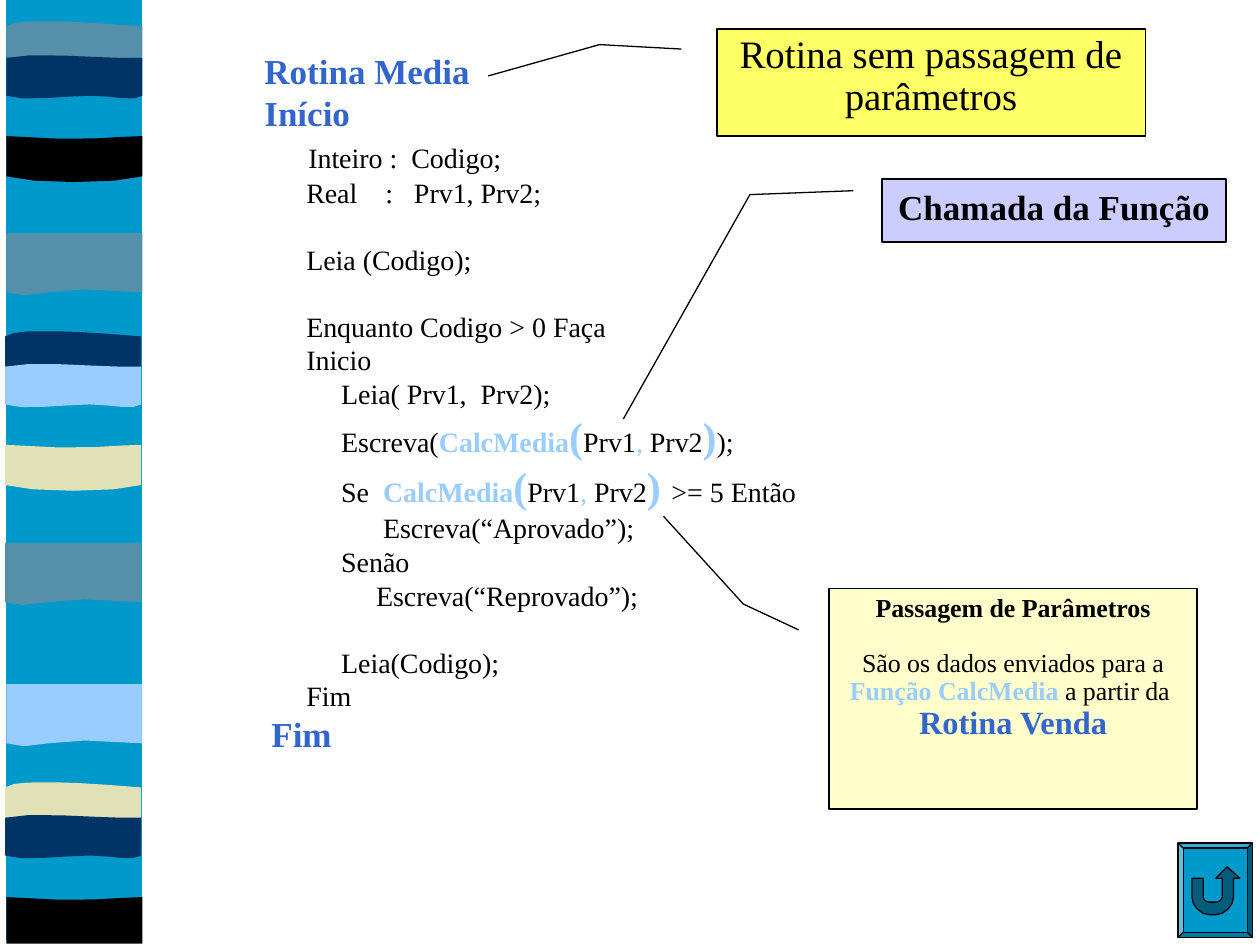
from pptx import Presentation
from pptx.dml.color import RGBColor
from pptx.enum.shapes import MSO_SHAPE
from pptx.enum.text import MSO_ANCHOR, MSO_AUTO_SIZE, PP_ALIGN
from pptx.util import Inches, Pt

COLORS = {
    "sea": "0099CC", "slate": "5490A8", "navy": "003366", "sky": "99CCFF",
    "sand": "E1E1B7", "black": "000000", "white": "FFFFFF", "blue": "3366CC",
    "arrow": "005C7A", "yellow": "FFFF66", "lilac": "CCCCFF", "cream": "FFFFCC",
}
RGB = {name: RGBColor.from_string(value) for name, value in COLORS.items()}
CURVE_PARTS = 4

deck = Presentation()
deck.slide_width, deck.slide_height = Inches(10), Inches(7.5)
page = deck.slides.add_slide(deck.slide_layouts[6])


def draw_outline(left, top, steps, color):
    """Draw a closed outline; a step is a point (x, y) or a cubic curve of six numbers."""
    points = [steps[0]]
    for step in steps[1:]:
        if len(step) == 2:
            points.append(step)
            continue
        nodes = [points[-1], step[0:2], step[2:4], step[4:6]]
        for t in (n / CURVE_PARTS for n in range(1, CURVE_PARTS + 1)):
            weights = ((1 - t) ** 3, 3 * t * (1 - t) ** 2, 3 * t * t * (1 - t), t ** 3)
            points.append(tuple(sum(w * node[axis] for w, node in zip(weights, nodes))
                                for axis in (0, 1)))
    places = [(Inches(left + x), Inches(top + y)) for x, y in points]
    builder = page.shapes.build_freeform(*places[0])
    builder.add_line_segments(places[1:], close=True)
    outline = builder.convert_to_shape()
    outline.shadow.inherit = False
    outline.fill.solid()
    outline.fill.fore_color.rgb = RGB[color]
    outline.line.fill.background()
    return outline


def write_paragraph(frame, first, spans, gap, alignment):
    """Write spans of (text, size, color, bold) as one paragraph."""
    para = frame.paragraphs[0] if first else frame.add_paragraph()
    para.alignment = alignment
    if gap:
        para.space_before = Pt(gap)
    para.font.name = "Times New Roman"
    for text, size, color, bold in spans:
        span = para.add_run()
        span.text = text
        font = para.font if len(spans) == 1 else span.font
        font.size, font.bold = Pt(size), bold
        font.color.rgb = RGB[color]
    return para


# Side strip with wavy bands
BANDS = {
    "strip": [(0, 0), (1.08, 0), (1.08, 7.47), (0, 7.47)],
    "flag": [(0, 0), (1.08, 0), (1.08, 0.47), (0.34, 0.39, 0.18, 0.55, 0, 0.47)],
    "hump": [(1.08, 0), (1.08, 0.24), (0.9, 0.28, 0.18, 0.28, 0, 0.24), (0, 0),
             (0.07, -0.05, 0.24, -0.04, 0.42, -0.04), (0.6, -0.04, 0.95, -0.01, 1.08, 0)],
    "bowl": [(1.08, 0), (1.08, 0.32), (0.9, 0.38, 0.18, 0.38, 0, 0.32), (0, 0),
             (0.67, 0.05, 0.86, 0, 1.08, 0)],
    "ripple": [(1.08, 0), (1.08, 0.3), (1.02, 0.35, 0.85, 0.3, 0.67, 0.3),
               (0.49, 0.3, 0.11, 0.35, 0, 0.3), (0, 0), (0.16, -0.05, 0.74, 0, 0.92, 0)],
    "base": [(1.08, 0), (1.08, 0.37), (0, 0.37), (0, 0), (0.67, 0.05, 0.86, 0, 1.08, 0)],
}
for kind, left, top, color in (
    ("strip", 0.05, -0.01, "sea"),
    ("flag", 0.05, 1.85, "slate"), ("hump", 0.05, 0.21, "slate"),
    ("bowl", 0.05, 1.08, "black"), ("ripple", 0.05, 0.46, "navy"),
    ("flag", 0.04, 4.31, "slate"), ("hump", 0.04, 2.67, "navy"),
    ("bowl", 0.04, 3.53, "sand"), ("ripple", 0.04, 2.91, "sky"),
    ("flag", 0.05, 5.43, "sky"), ("hump", 0.04, 6.25, "sand"),
    ("base", 0.05, 7.12, "black"), ("ripple", 0.04, 6.49, "navy"),
):
    draw_outline(left, top, BANDS[kind], color)

# Pseudocode listing: (spans or plain text, gap before)
HEADING, CODE = (20, "blue", True), (16, "black", False)
CALL, BRACKET, COMMA = (16, "sky", True), (24, "sky", True), (16, "sky", False)
LINE_GAP = 19.2
listing = (
    ([("Rotina Media", *HEADING)], 0),
    ([("Início", *HEADING)], 0),
    ([("     ", 20, "black", False), ("Inteiro :  Codigo;", *CODE)], 0),
    ("      Real    :   Prv1, Prv2;", 0),
    ("      Leia (Codigo);", LINE_GAP),
    ("      Enquanto Codigo > 0 Faça", LINE_GAP),
    ("      Inicio", 0),
    ("           Leia( Prv1,  Prv2);", 0),
    ([("           Escreva(", *CODE), ("CalcMedia", *CALL), ("(", *BRACKET),
      ("Prv1", *CODE), (",", *COMMA), (" Prv2", *CODE), (")", *BRACKET), (");", *CODE)], 0),
    ([("           Se  ", *CODE), ("CalcMedia", *CALL), ("(", *BRACKET), ("Prv1", *CODE),
      (", ", *COMMA), ("Prv2", *CODE), (") ", *BRACKET), (">= 5 Então", *CODE)], 0),
    ("                 Escreva(“Aprovado”);", 0),
    ("           Senão", 0),
    ("                Escreva(“Reprovado”);", 0),
    ("           Leia(Codigo);", LINE_GAP),
    ("      Fim", 0),
    ([(" ", *CODE), ("Fim", *HEADING)], 0),
)
code_box = page.shapes.add_shape(
    MSO_SHAPE.RECTANGLE, Inches(2), Inches(0.34), Inches(6.75), Inches(5.7))
code_box.shadow.inherit = False
code_box.fill.solid()
code_box.fill.fore_color.rgb = RGB["white"]
code_box.line.fill.background()
code_frame = code_box.text_frame
code_frame.word_wrap = True
code_frame.auto_size = MSO_AUTO_SIZE.SHAPE_TO_FIT_TEXT
code_frame.vertical_anchor = MSO_ANCHOR.TOP
for row, (content, gap) in enumerate(listing):
    spans = [(content, *CODE)] if isinstance(content, str) else content
    write_paragraph(code_frame, row == 0, spans, gap, PP_ALIGN.LEFT)

# Return button
button = page.shapes.add_shape(
    MSO_SHAPE.BEVEL, Inches(9.35), Inches(6.69), Inches(0.59), Inches(0.75))
button.adjustments[0] = 0.07
button.shadow.inherit = False
button.fill.solid()
button.fill.fore_color.rgb = RGB["sea"]
arrow = draw_outline(9.46, 6.88, [
    (0, 0.09), (0.09, 0.09), (0.09, 0.24), (0.09, 0.26, 0.11, 0.28, 0.14, 0.28),
    (0.19, 0.28), (0.21, 0.28, 0.24, 0.26, 0.24, 0.24), (0.24, 0.09), (0.19, 0.09),
    (0.28, 0), (0.38, 0.09), (0.33, 0.09), (0.33, 0.24),
    (0.33, 0.31, 0.26, 0.38, 0.19, 0.38), (0.14, 0.38),
    (0.07, 0.38, 0, 0.31, 0, 0.24)], "arrow")
for part in (button, arrow):
    part.line.color.rgb = RGB["black"]
    part.line.width = Pt(0.75)

# Callouts: place, leader points, fill, line spacing, paragraphs
NOTE = (14.8, "black", False)
callouts = (
    ((5.69, 0.23, 3.4, 0.85), (0.188, -0.083, 0.146, -0.274, 0.439, -0.534), "yellow", 0.9,
     [([("Rotina sem passagem de parâmetros", 22.2, "black", False)], 0)]),
    ((7, 1.42, 2.73, 0.5), (0.188, -0.083, 0.25, -0.384, 3.812, -0.752), "lilac", None,
     [([("Chamada da Função", 20, "black", True)], 0)]),
    ((6.58, 4.67, 2.92, 1.75), (0.188, -0.083, 0.071, -0.233, -0.327, -0.45), "cream", 0.9,
     [([("Passagem de Parâmetros", 14.8, "black", True)], 0),
      ([("São os dados enviados para a ", *NOTE), ("Função CalcMedia", 14.8, "sky", True),
        (" a partir da ", *NOTE)], 16),
      ([("Rotina Venda", 18.5, "blue", True)], 0)]),
)
for place, leader, color, spacing, paragraphs in callouts:
    callout = page.shapes.add_shape(MSO_SHAPE.LINE_CALLOUT_2, *map(Inches, place))
    for index, value in enumerate(leader):
        callout.adjustments[index] = value
    callout.shadow.inherit = False
    callout.fill.solid()
    callout.fill.fore_color.rgb = RGB[color]
    callout.line.color.rgb = RGB["black"]
    callout.line.width = Pt(0.75)
    frame = callout.text_frame
    frame.word_wrap = True
    frame.vertical_anchor = MSO_ANCHOR.TOP
    for row, (spans, gap) in enumerate(paragraphs):
        para = write_paragraph(frame, row == 0, spans, gap, PP_ALIGN.CENTER)
        if spacing:
            para.line_spacing = spacing

deck.save("out.pptx")
